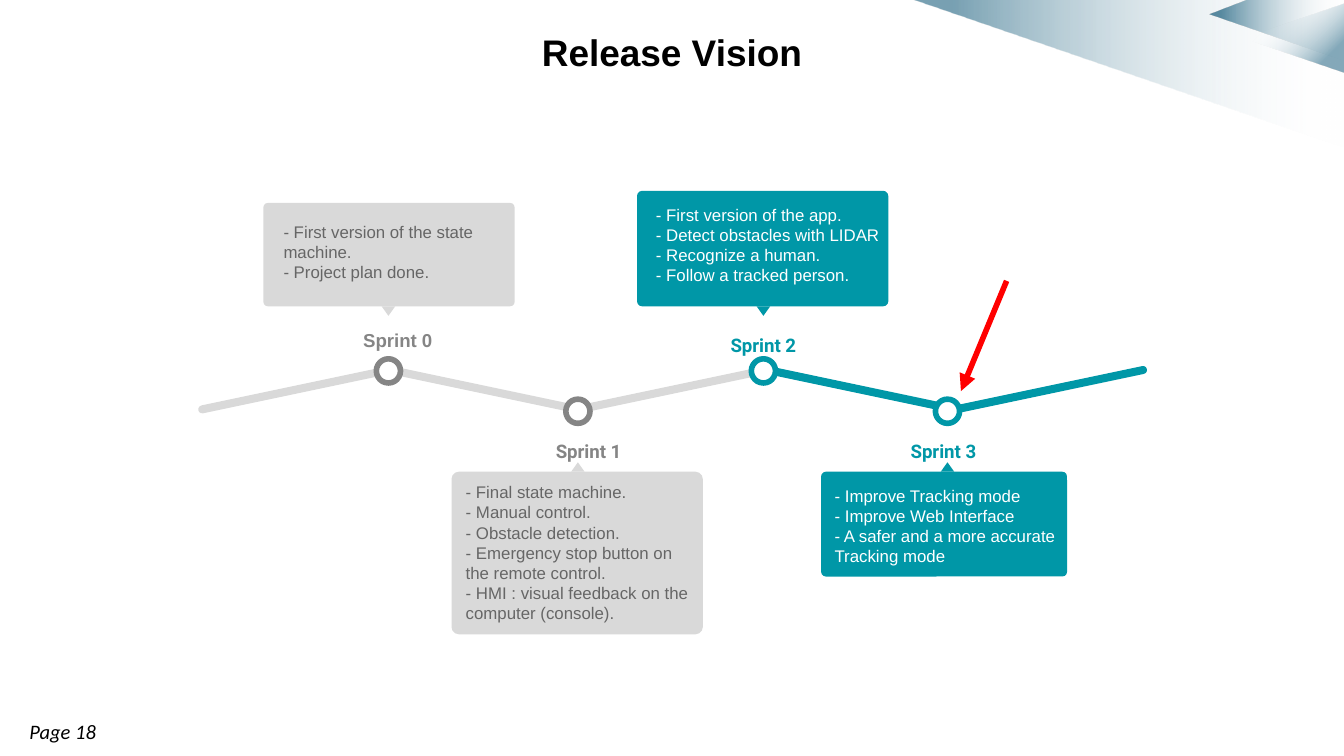
from dataclasses import dataclass

from lxml.etree import SubElement
from pptx import Presentation
from pptx.dml.color import RGBColor
from pptx.enum.shapes import MSO_CONNECTOR as CONNECTOR, MSO_SHAPE as SHAPE
from pptx.enum.text import MSO_ANCHOR as ANCHOR, PP_ALIGN as ALIGN
from pptx.oxml.ns import qn
from pptx.util import Inches, Pt


@dataclass(frozen=True)
class Theme:
    """Colours, fonts and type sizes of the slide."""
    black: str = "000000"
    white: str = "FFFFFF"
    navy: str = "004D6F"
    teal: str = "0097A7"
    pale: str = "D9D9D9"
    gray: str = "858585"
    text: str = "666666"
    red: str = "FF0000"
    sans: str = "Arial"
    label: str = "Roboto"
    footer: str = "Calibri"
    title_size: float = 19.8
    footer_size: float = 11
    label_size: float = 10
    body_size: float = 9


T = Theme()


@dataclass(frozen=True)
class Sprint:
    """One milestone: its card, node and wording."""
    name: str
    box: tuple
    node_x: float
    label_x: float
    inset: tuple
    lines: tuple
    above: bool = False
    done: bool = False
    font: str = T.label
    spacing: float = 1.15


SPRINTS = (
    Sprint("Sprint 0", (1.96, 1.51, 1.87, 0.77), 2.89, 2.96, (0.14, 0.13),
           ("- First version of the state machine.", "- Project plan done."),
           above=True, done=True, font=T.sans, spacing=1),
    Sprint("Sprint 1", (3.36, 3.51, 1.87, 1.21), 4.3, 4.38, (0.09, 0.06),
           ("- Final state machine.", "- Manual control.", "- Obstacle detection.",
            "- Emergency stop button on the remote control.",
            "- HMI : visual feedback on the computer (console)."), done=True),
    Sprint("Sprint 2", (4.74, 1.42, 1.87, 0.86), 5.68, 5.68, (0.13, 0.09),
           ("- First version of the app.", "- Detect obstacles with LIDAR",
            "- Recognize a human.", "- Follow a tracked person."), above=True),
    Sprint("Sprint 3", (6.11, 3.51, 1.83, 0.78), 7.05, 7.02, (0.09, 0.09),
           ("- Improve Tracking mode", "- Improve Web Interface",
            "- A safer and a more accurate Tracking mode")),
)


def rgb(color):
    """Turn a hex string into a colour."""
    return RGBColor.from_string(color)


def add_shape(s, kind, box, color, rotation=0):
    """Add a flat preset shape without outline."""
    sp = s.shapes.add_shape(kind, *map(Inches, box))
    sp.shadow.inherit = False
    sp.fill.solid()
    sp.fill.fore_color.rgb = rgb(color)
    sp.line.fill.background()
    sp.rotation = rotation
    return sp


def write(tf, lines, font, size, color, align=ALIGN.LEFT, bold=False,
          italic=False, spacing=1):
    """Fill a text frame with equally styled paragraphs."""
    tf.word_wrap = True
    tf.vertical_anchor = ANCHOR.TOP
    tf.text = "\n".join(lines)
    for p in tf.paragraphs:
        p.alignment, p.line_spacing = align, spacing
        for r in p.runs:
            r.font.name, r.font.size = font, Pt(size)
            r.font.bold, r.font.italic = bold, italic
            r.font.color.rgb = rgb(color)


def add_text(s, box, text, *style, margin=0.05, **options):
    """Add a one-line text box."""
    tf = s.shapes.add_textbox(*map(Inches, box)).text_frame
    tf.margin_top = tf.margin_bottom = Inches(margin)
    write(tf, [text], *style, **options)


def set_gradient(sp, stops, angle):
    """Fill a shape with a gradient of (position, colour, opacity) stops."""
    sp.fill.gradient()
    grad = sp.fill._xPr.find(qn("a:gradFill"))
    for child in list(grad):
        grad.remove(child)
    stop_list = SubElement(grad, qn("a:gsLst"))
    for position, color, opacity in stops:
        stop = SubElement(stop_list, qn("a:gs"), pos=str(position * 1000))
        clr = SubElement(stop, qn("a:srgbClr"), val=color)
        SubElement(clr, qn("a:alpha"), val=str(opacity * 1000))
    SubElement(grad, qn("a:lin"), ang=str(angle * 60000), scaled="0")


def add_facet(s, points, opacity):
    """Add a polygon that fades out to the right."""
    start, *rest = [(Inches(x), Inches(y)) for x, y in points]
    builder = s.shapes.build_freeform(*start)
    builder.add_line_segments(rest)
    sp = builder.convert_to_shape()
    sp.shadow.inherit = False
    sp.line.fill.background()
    set_gradient(sp, ((0, T.navy, opacity), (9, T.navy, opacity),
                      (100, T.white, 0)), 0)


def add_corner(s, box):
    """Place the three translucent facets in the top right corner."""
    x, y, w, h = box
    right = x + w
    add_facet(s, ((x, y), (right, y), (right, y + h)), 53)
    add_facet(s, ((right - 1, y + 0.11), (right - 0.71, y), (right, y),
                  (right, y + 0.45)), 63)
    tip = add_shape(s, SHAPE.ISOSCELES_TRIANGLE,
                    (right - 0.63, y - 0.09, 0.51, 0.75), T.navy, 270)
    set_gradient(tip, ((0, T.white, 0), (27, T.white, 0), (81, T.navy, 48),
                       (100, T.navy, 48)), 135)


def add_track(s, box):
    """Draw the zigzag of rounded bars, rising and falling in turn."""
    x, y, w, h = box
    colors = (T.pale,) * 3 + (T.teal,) * 2
    step = (w - 1.48) / (len(colors) - 1)
    for i, color in enumerate(colors):
        bar = add_shape(s, SHAPE.ROUNDED_RECTANGLE, (x + i * step, y, 1.48, h),
                        color, 11.9 if i % 2 else 348.1)
        bar.adjustments[0] = 0.5


def add_sprint(s, sprint):
    """Place a card with its pointer, label and node."""
    x, y, w, h = sprint.box
    fill, accent, ink = ((T.pale, T.gray, T.text) if sprint.done
                         else (T.teal, T.teal, T.white))
    if sprint.above:
        tip_y, label_y, node_y, turn = y + h, y + h + 0.08, y + h + 0.39, 180
    else:
        tip_y, label_y, node_y, turn = y - 0.07, y - 0.36, y - 0.54, 0

    card = add_shape(s, SHAPE.ROUNDED_RECTANGLE, sprint.box, fill)
    card.adjustments[0] = 0.045
    tf = card.text_frame
    tf.margin_left, tf.margin_top = map(Inches, sprint.inset)
    tf.margin_right = tf.margin_bottom = Inches(0.02)
    write(tf, sprint.lines, T.sans, T.body_size, ink)

    add_shape(s, SHAPE.ISOSCELES_TRIANGLE,
              (sprint.node_x - 0.05, tip_y, 0.1, 0.07), fill, turn)
    add_text(s, (sprint.label_x - 0.45, label_y, 0.9, 0.3), sprint.name,
             sprint.font, T.label_size, accent, margin=0.1, align=ALIGN.CENTER,
             bold=True, spacing=sprint.spacing)
    node = add_shape(s, SHAPE.OVAL, (sprint.node_x - 0.09, node_y, 0.18, 0.18), T.white)
    node.line.color.rgb = rgb(accent)
    node.line.width = Pt(3)


def add_arrow(s, box):
    """Draw the red arrow from the top right to the bottom left of the box."""
    x, y, w, h = box
    arrow = s.shapes.add_connector(CONNECTOR.STRAIGHT,
                                   *map(Inches, (x + w, y, x, y + h)))
    arrow.line.color.rgb = rgb(T.red)
    arrow.line.width = Pt(3)
    SubElement(arrow.line._get_or_add_ln(), qn("a:tailEnd"), type="triangle")
    SubElement(arrow._element.spPr, qn("a:effectLst"))


def main():
    """Build and save the slide."""
    prs = Presentation()
    prs.slide_width = Inches(10)
    prs.slide_height = prs.slide_width * 9 // 16
    s = prs.slides.add_slide(prs.slide_layouts[6])
    add_corner(s, (6.79, 0, 3.21, 1.1))
    add_text(s, (0.12, 5.3, 2.68, 0.29), "Page 18", T.footer, T.footer_size,
             T.black, italic=True)
    add_text(s, (2.48, 0.12, 5.04, 0.35), "Release Vision", T.sans, T.title_size,
             T.black, align=ALIGN.CENTER, bold=True, spacing=1.15)
    add_track(s, (1.46, 2.87, 7.09, 0.06))
    for sprint in SPRINTS:
        add_sprint(s, sprint)
    add_arrow(s, (7.15, 2.09, 0.34, 0.82))
    prs.save("out.pptx")


if __name__ == "__main__":
    main()
